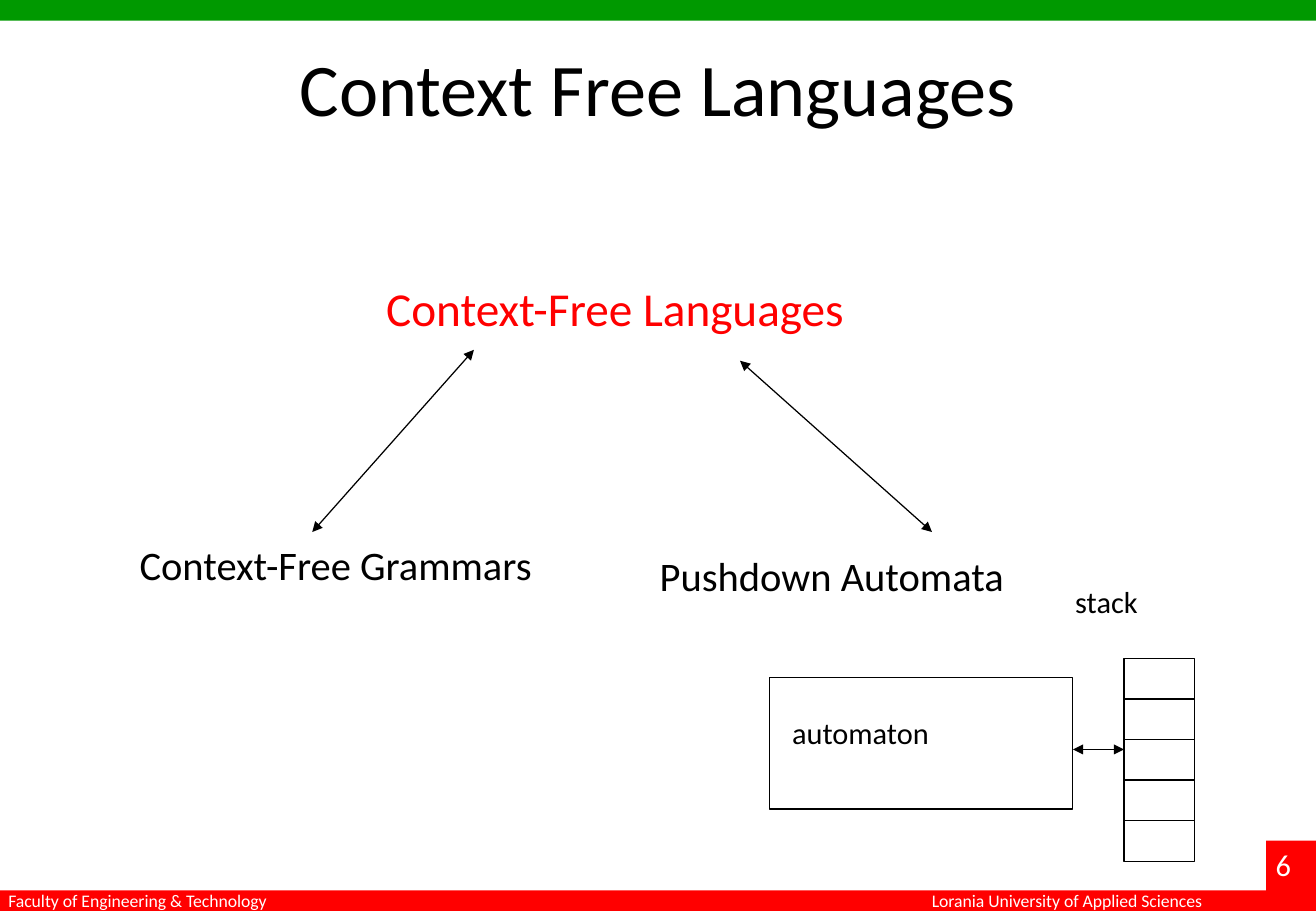
from lxml import etree
from pptx import Presentation
from pptx.dml.color import RGBColor
from pptx.enum import shapes, text
from pptx.oxml import ns
from pptx.util import Inches, Pt

BLACK = RGBColor(0, 0, 0)
WHITE = RGBColor(255, 255, 255)
RED = RGBColor(255, 0, 0)
GREEN = RGBColor(0, 0x99, 0)
WIDTH, HEIGHT, BAR = 10.83, 7.5, 0.17

prs = Presentation()
prs.slide_width, prs.slide_height = Inches(WIDTH), Inches(HEIGHT)
slide = prs.slides.add_slide(prs.slide_layouts[6])


def add_label(words, left, top, width, height, size, color=BLACK, align=text.PP_ALIGN.LEFT):
    frame = slide.shapes.add_textbox(*map(Inches, (left, top, width, height))).text_frame
    frame.word_wrap = True
    frame.text = words
    paragraph = frame.paragraphs[0]
    paragraph.alignment = align
    font = paragraph.runs[0].font
    font.name, font.size, font.color.rgb = "Calibri", Pt(size), color


def add_line(start, end, arrows=False):
    """Draw a thin black line, with a triangle at both ends if arrows is set."""
    line = slide.shapes.add_connector(shapes.MSO_CONNECTOR.STRAIGHT, *map(Inches, start + end))
    line.line.color.rgb = BLACK
    line.line.width = Pt(0.75)
    if arrows:
        for tag in ("a:headEnd", "a:tailEnd"):
            etree.SubElement(line.line._get_or_add_ln(), ns.qn(tag), type="triangle")
    etree.SubElement(line._element.spPr, ns.qn("a:effectLst"))


# Page frame
for box, color in [
    ((0, HEIGHT - BAR, WIDTH, BAR), RED),
    ((0, 0, WIDTH, BAR), GREEN),
    ((10.42, 6.92, 0.42, 0.58), RED),
]:
    band = slide.shapes.add_shape(shapes.MSO_SHAPE.RECTANGLE, *map(Inches, box))
    band.shadow.inherit = False
    band.fill.solid()
    band.fill.fore_color.rgb = color
    band.line.fill.background()

add_label("Faculty of Engineering & Technology", -0.03, 7.28, 2.6, 0.28, 10.5, WHITE)
add_label("Lorania University of Applied Sciences", 7.57, 7.28, 2.8, 0.28, 10.5, WHITE)
add_label("6", 10.4, 6.92, 0.43, 0.4, 18, WHITE)

# Languages and their two equivalents
add_label("Context Free Languages", 0.54, 0.3, 9.75, 1.25, 44, align=text.PP_ALIGN.CENTER)
add_label("Context-Free Languages", 3.08, 2.25, 4.2, 0.57, 28, RED)
add_label("Context-Free Grammars", 1.05, 4.4, 3.7, 0.5, 24)
add_label("Pushdown Automata", 5.33, 4.49, 3.28, 0.5, 24)
add_line((3.9, 2.88), (2.57, 4.38), arrows=True)
add_line((6.09, 2.97), (7.67, 4.38), arrows=True)

# Automaton with its stack
stack_left, stack_top, stack_width, stack_height, cells = 9.25, 5.42, 0.58, 1.67, 5
for box in [(6.33, 5.58, 2.5, 1.08), (stack_left, stack_top, stack_width, stack_height)]:
    outline = slide.shapes.add_shape(shapes.MSO_SHAPE.RECTANGLE, *map(Inches, box))
    outline.shadow.inherit = False
    outline.fill.background()
    outline.line.color.rgb = BLACK
    outline.line.width = Pt(0.75)

for cell in range(1, cells):
    y = stack_top + cell * stack_height / cells
    add_line((stack_left, y), (stack_left + stack_width, y))
add_line((8.83, 6.17), (stack_left, 6.17), arrows=True)
add_label("automaton", 6.42, 5.83, 2.35, 0.63, 18)
add_label("stack", 8.75, 4.75, 0.9, 0.4, 18)

prs.save("out.pptx")
